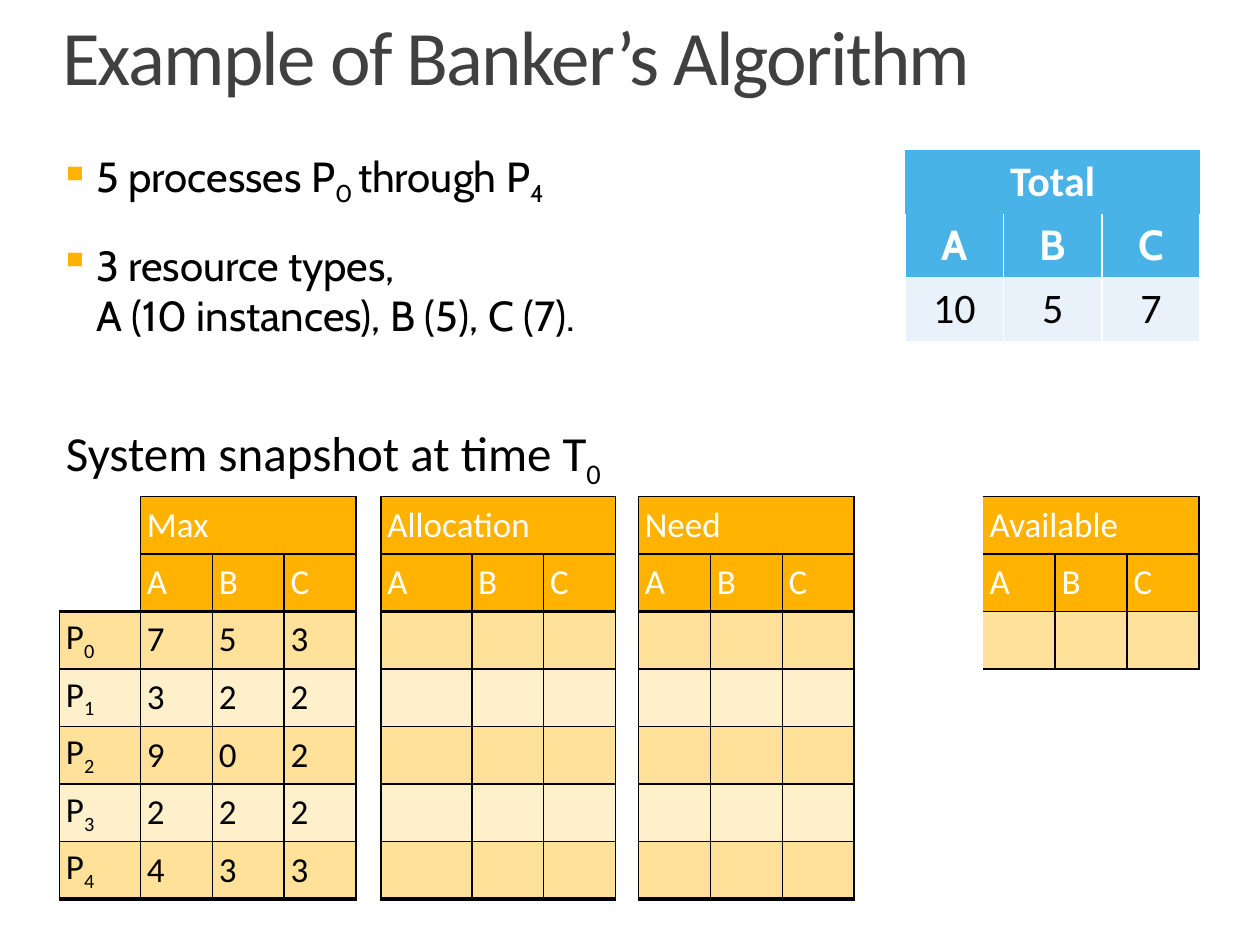
from dataclasses import dataclass

from lxml import etree
from pptx import Presentation
from pptx import util as u
from pptx.dml.color import RGBColor
from pptx.enum import text
from pptx.oxml import ns


@dataclass(frozen=True)
class Theme:
    ink: str = "000000"
    heading: str = "404040"
    paper: str = "FFFFFF"
    amber: str = "FFB300"
    band_dark: str = "FFE199"
    band_light: str = "FFF0CC"
    blue: str = "49B3E8"
    blue_pale: str = "E9F2FB"
    font: str = "Calibri"
    body_font: str = "Cabin"
    title_size: int = 44
    caption_size: int = 28
    body_size: int = 24
    cell_size: int = 20


T = Theme()
PLAIN_STYLE = "{2D5ABB26-0587-4C30-8999-92F81FD0307C}"
THIN, THICK = 1, 2.25
LETTERS = ["A", "B", "C"]


def add_run(p, words, size, color=T.ink, font=T.font, bold=False, sub=False):
    r = p.add_run()
    r.text = words
    r.font.size = u.Pt(size)
    r.font.name = font
    r.font.bold = bold
    r.font.color.rgb = RGBColor.from_string(color)
    if sub:
        r.font._element.set("baseline", "-25000")
    return r


def set_borders(cell, color, **widths):
    """Draw cell edges; widths are points keyed L, R, T and B."""
    tc_pr = cell._tc.get_or_add_tcPr()
    for side in "LRTB":
        if side in widths:
            ln = etree.SubElement(tc_pr, ns.qn(f"a:ln{side}"), w=str(u.Pt(widths[side])))
            fill = etree.SubElement(ln, ns.qn("a:solidFill"))
            etree.SubElement(fill, ns.qn("a:srgbClr"), val=color)


def set_fill(cell, color):
    cell.fill.solid()
    cell.fill.fore_color.rgb = RGBColor.from_string(color)


def add_plain_table(s, left, top, widths, heights):
    frame = s.shapes.add_table(len(heights), len(widths), u.Cm(left), u.Cm(top),
                               u.Cm(sum(widths)), u.Cm(sum(heights)))
    table = frame.table
    table.first_row = table.horz_banding = False
    table._tbl.tblPr.find(ns.qn("a:tableStyleId")).text = PLAIN_STYLE
    for column, width in zip(table.columns, widths):
        column.width = u.Cm(width)
    for row, height in zip(table.rows, heights):
        row.height = u.Cm(height)
    for cell in table.iter_cells():
        cell.vertical_anchor = text.MSO_ANCHOR.MIDDLE
    return table


def place_title(s, left, top, width, height):
    title = s.shapes.title
    title.left, title.top, title.width, title.height = map(u.Cm, (left, top, width, height))
    tf = title.text_frame
    tf.vertical_anchor = text.MSO_ANCHOR.BOTTOM
    tf.auto_size = text.MSO_AUTO_SIZE.NONE
    tf.margin_left, tf.margin_right, tf.margin_bottom = u.Cm(1.25), 0, 0
    tf.margin_top = u.Cm(0.1)
    p = tf.paragraphs[0]
    p.alignment = text.PP_ALIGN.LEFT
    p.line_spacing = 0.9
    r = add_run(p, "Example of Banker’s Algorithm", T.title_size, T.heading)
    r.font._element.set("spc", "-100")


def add_bullets(s, left, top, width, height):
    tf = s.shapes.add_textbox(*map(u.Cm, (left, top, width, height))).text_frame
    tf.word_wrap = True
    tf.margin_left = tf.margin_top = tf.margin_right = tf.margin_bottom = 0

    def bullet(p):
        p.space_before = u.Pt(18)
        p_pr = p._p.get_or_add_pPr()
        p_pr.set("marL", str(u.Cm(0.74)))
        p_pr.set("indent", str(u.Cm(-0.74)))
        color = etree.SubElement(p_pr, ns.qn("a:buClr"))
        etree.SubElement(color, ns.qn("a:srgbClr"), val=T.amber)
        etree.SubElement(p_pr, ns.qn("a:buChar"), char="▪")

    p = tf.paragraphs[0]
    bullet(p)
    for words, sub in [("5 processes P", False), ("0 ", True), ("through P", False), ("4", True)]:
        add_run(p, words, T.body_size, font=T.body_font, sub=sub)

    p = tf.add_paragraph()
    bullet(p)
    add_run(p, "3 resource types,", T.body_size, font=T.body_font)
    p.add_line_break()
    add_run(p, "A (10 instances), B (5), C (7).", T.body_size, font=T.body_font)


def add_totals(s, left, top, width, height):
    table = add_plain_table(s, left, top, [width / 3] * 3, [height / 3] * 3)
    rows = [["Total", "", ""], LETTERS, ["10", "5", "7"]]
    for i, row in enumerate(rows):
        header = i < 2
        for j, words in enumerate(row):
            cell = table.cell(i, j)
            if i:
                set_borders(cell, T.paper, L=THIN, R=THIN)
            set_fill(cell, T.blue if header else T.blue_pale)
            p = cell.text_frame.paragraphs[0]
            p.alignment = text.PP_ALIGN.CENTER
            if words:
                add_run(p, words, T.body_size, T.paper if header else T.ink,
                        T.body_font if i == 1 else T.font, bold=header)
    table.cell(0, 0).merge(table.cell(0, 2))


def add_snapshot(s, left, top):
    narrow, row_height = 1.45, 1.155
    three = [narrow] * 3
    widths = [1.63, *three, 0.5, 1.83, narrow, narrow, 0.46, *three, 2.6, *three]
    table = add_plain_table(s, left, top, widths, [1.51] + [row_height] * 7)
    for cell in table.iter_cells():
        cell.margin_left = cell.margin_right = u.Cm(0.13)
        cell.margin_top = cell.margin_bottom = u.Cm(0.1)

    def write(cell, words, color=T.ink, size=T.cell_size, sub=""):
        p = cell.text_frame.paragraphs[0]
        add_run(p, words, size, color)
        if sub:
            add_run(p, sub, size, color, sub=True)

    def value_cell(row, col, head_edge=THICK, last=7, **sides):
        cell = table.cell(row, col)
        edges = dict(L=THIN, R=THIN, T=head_edge if row == 3 else THIN,
                     B=THICK if row == last else THIN)
        edges.update(sides)
        set_borders(cell, T.ink, **{k: w for k, w in edges.items() if w})
        set_fill(cell, T.band_dark if row % 2 else T.band_light)
        return cell

    # Caption across the whole table
    table.cell(0, 0).merge(table.cell(0, len(widths) - 1))
    write(table.cell(0, 0), "System snapshot at time T", size=T.caption_size, sub="0")

    # Process names
    for k in range(5):
        write(value_cell(3 + k, 0), "P", sub=str(k))

    # Groups: heading, first column, number of rows, values
    maximum = ["753", "322", "902", "222", "433"]
    groups = [("Max", 1, 5, maximum), ("Allocation", 5, 5, []),
              ("Need", 9, 5, []), ("Available", 13, 1, [])]
    for heading, first, count, values in groups:
        single = count == 1
        head_edge = THIN if single else THICK
        for j, letter in enumerate(LETTERS):
            col = first + j
            left_edge = {} if single and j == 0 else {"L": THIN}
            top_cell, letter_cell = table.cell(1, col), table.cell(2, col)
            top_edges = {"T": THIN, **(left_edge if j == 0 else {})}
            if j != 1:
                top_edges["R"] = THIN
            set_borders(top_cell, T.ink, **top_edges)
            set_borders(letter_cell, T.ink, R=THIN, B=head_edge, **left_edge)
            for cell in (top_cell, letter_cell):
                set_fill(cell, T.amber)
            write(letter_cell, letter, T.paper)
            for k in range(count):
                cell = value_cell(3 + k, col, head_edge, L=left_edge.get("L"))
                if values:
                    write(cell, values[k][j])
        table.cell(1, first).merge(table.cell(1, first + 2))
        write(table.cell(1, first), heading, T.paper)


def main():
    prs = Presentation()
    prs.slide_width, prs.slide_height = u.Cm(25.4), u.Cm(19.05)
    s = prs.slides.add_slide(prs.slide_layouts[5])
    place_title(s, 0, 0.18, 25.4, 1.88)
    add_snapshot(s, 1.2, 8.47)
    add_bullets(s, 1.2, 3.03, 16, 4.5)
    add_totals(s, 18.25, 3.03, 5.94, 3.84)
    prs.save("out.pptx")


if __name__ == "__main__":
    main()
